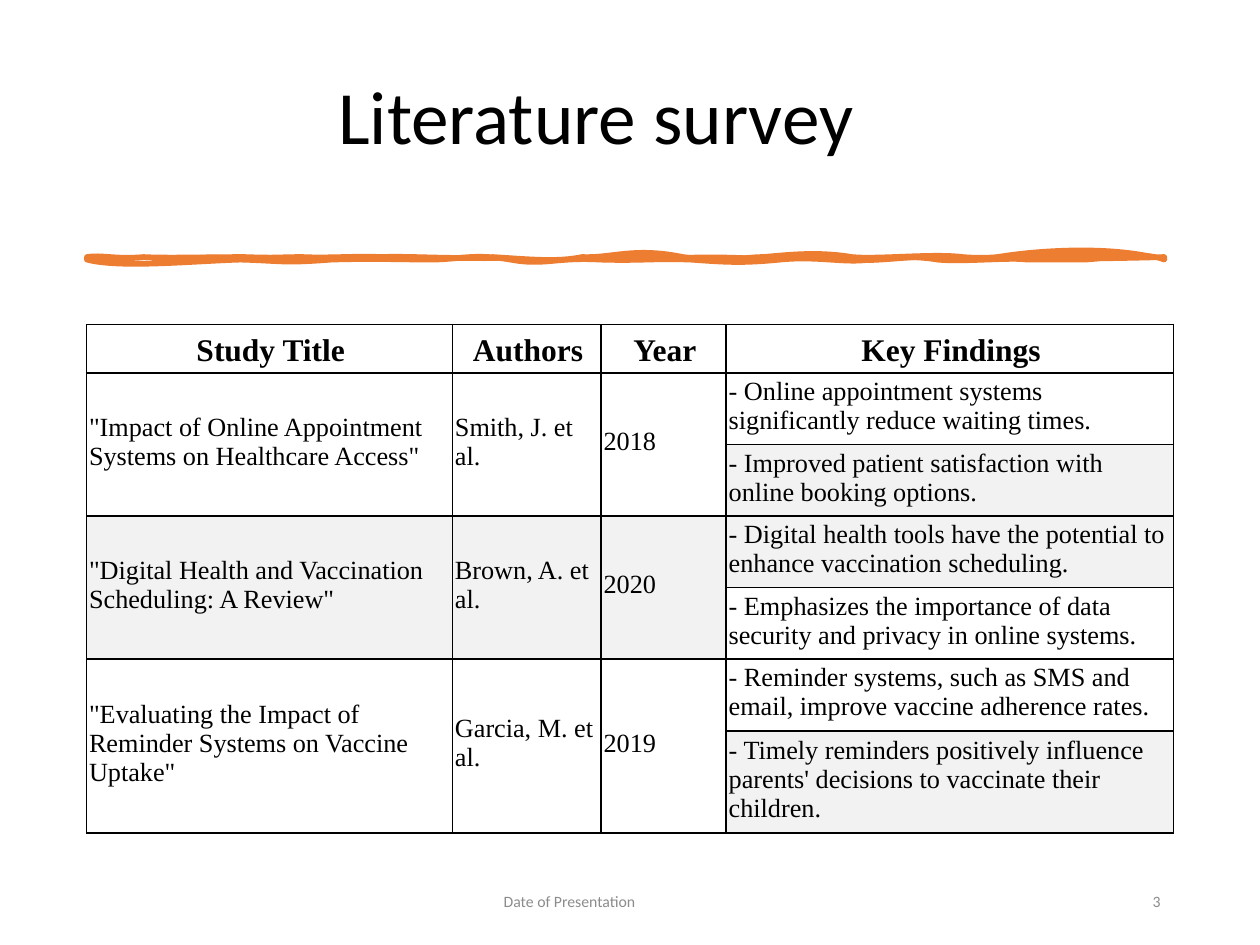
from lxml.etree import SubElement as Sub
from pptx import Presentation
from pptx.dml.color import RGBColor as RGB
from pptx.enum.text import MSO_ANCHOR as Anchor, MSO_AUTO_SIZE as Auto, PP_ALIGN as Align
from pptx.oxml.ns import qn
from pptx.util import Inches, Pt

W, H = 10, 7.5
INK = {"text": "000000", "note": "8C8C8C", "rule": "ED7D31",
       "band": "F2F2F2", "page": "FFFFFF"}
SANS, SERIF = "Calibri", "Times New Roman"

COLS = [29.04, 11.8, 9.93, 35.5]                 # percent of slide width
ROWS = [5.1] + [7.58] * 5 + [10.8]               # percent of slide height
HEADS = ["Study Title", "Authors", "Year", "Key Findings"]
STUDIES = [
    (['"Impact of Online Appointment Systems on Healthcare Access"',
      "Smith, J. et al.", "2018"],
     ["- Online appointment systems significantly reduce waiting times.",
      "- Improved patient satisfaction with online booking options."]),
    (['"Digital Health and Vaccination Scheduling: A Review"',
      "Brown, A. et al.", "2020"],
     ["- Digital health tools have the potential to enhance vaccination scheduling.",
      "- Emphasizes the importance of data security and privacy in online systems."]),
    (['"Evaluating the Impact of Reminder Systems on Vaccine Uptake"',
      "Garcia, M. et al.", "2019"],
     ["- Reminder systems, such as SMS and email, improve vaccine adherence rates.",
      "- Timely reminders positively influence parents' decisions to vaccinate "
      "their children."]),
]

# Brush stroke edges: two control points and the end x of each curve, in inches
TOP, LOW, START, END = 2.04, 2.06, 0.69, 9.24
UNIT = 1000                                      # path units per inch
EDGE = (
    [(.8, 2.02, .92, 2.06, 1.14), (1.31, 2.05, 1.67, 2.04, 1.94),
     (2.23, 2.05, 2.19, 2.04, 2.4), (2.61, 2.05, 2.84, 2.03, 3.02),
     (3.26, 2.03, 3.63, 2.06, 3.91), (4.23, 2.06, 4.42, 2.08, 4.62),
     (4.86, 2.05, 5.03, 1.96, 5.42), (5.76, 2.08, 5.93, 2.04, 6.05),
     (6.2, 2.03, 6.47, 1.99, 6.76), (6.96, 2.06, 7.41, 2.01, 7.64),
     (7.86, 2.06, 8.06, 2.02, 8.18), (8.34, 2.06, 8.84, 2.05, END)],
    [(9.11, 2, 8.78, 2.05, 8.61), (8.44, 2.06, 8.3, 2.06, 8.15),
     (8.03, 2.04, 7.64, 2.08, 7.44), (7.27, 2.03, 7.09, 2.04, 6.9),
     (6.71, 2.09, 6.49, 2.03, 6.19), (5.89, 2.09, 5.76, 2.08, 5.48),
     (5.17, 2.05, 5.1, 2.07, 4.76), (4.41, 2.04, 4.32, 2.11, 4.05),
     (3.76, 2.01, 3.64, 2.06, 3.42), (3.21, 2.06, 2.96, 2.05, 2.63),
     (2.24, 2.09, 2.25, 2.07, 1.91), (1.55, 2.07, .95, 2.13, START)])
BODY = (
    [(.86, 2.03, 1, 2.03, 1.31), (1.63, 2.03, 1.59, 2.04, 1.77),
     (1.94, 2.02, 2.1, 2.05, 2.21), (2.33, 2.03, 2.52, 2.05, 2.65),
     (2.9, 2.05, 2.97, 2.02, 3.28), (3.58, 2.04, 3.65, 2.02, 3.91),
     (4.17, 2.08, 4.58, 2.05, 4.79), (5.07, 1.98, 5.18, 2.05, 5.33),
     (5.51, 2, 5.98, 2.03, 6.22), (6.5, 2.05, 6.66, 2.06, 7.1),
     (7.53, 2.06, 7.66, 2.02, 7.81), (7.99, 1.99, 8.75, 1.9, END)],
    [(9.02, 2.04, 8.92, 2.03, 8.78), (8.7, 2.09, 8.3, 2.01, 7.9),
     (7.53, 2.08, 7.56, 2.04, 7.36), (7.14, 2.06, 6.82, 2.12, 6.64),
     (6.42, 2.01, 6.06, 2, 5.76), (5.45, 2.05, 5.39, 2.06, 5.05),
     (4.72, 2.09, 4.82, 2.07, 4.59), (4.4, 2.05, 4.28, 2.09, 4.05),
     (3.83, 2.09, 3.61, 2.05, 3.17), (2.73, 2.07, 2.75, 2.07, 2.45),
     (2.16, 2.05, 2.13, 2.05, 1.91), (1.72, 1.97, 1.31, 2.07, START)])


def wide(share):
    return Inches(W * share / 100)


def high(share):
    return Inches(H * share / 100)


def area(left, top, width, height):
    return wide(left), high(top), wide(width), high(height)


def write(frame, text, size, font=SANS, ink="text", bold=False,
          align=Align.LEFT, lead=None, after=None):
    frame.word_wrap = True
    para = frame.paragraphs[0]
    para.text = text
    para.alignment = align
    para.line_spacing = lead
    para.space_after = after
    for run in para.runs:
        run.font.name, run.font.size, run.font.bold = font, Pt(size), bold
        run.font.color.rgb = RGB.from_string(INK[ink])


def add_title(slide, text):
    title = slide.shapes.title
    title.left, title.top, title.width, title.height = area(25.85, 7.93, 86.2, 19.33)
    frame = title.text_frame
    frame.auto_size, frame.vertical_anchor = Auto.NONE, Anchor.MIDDLE
    write(frame, text, 43, lead=0.9)


def add_note(slide, text, left, width, align, inset=0.1):
    box = slide.shapes.add_textbox(*area(left, 92.67, width, 5.33))
    frame = box.text_frame
    frame.vertical_anchor, frame.margin_right = Anchor.MIDDLE, Inches(inset)
    write(frame, text, 9, ink="note", align=align, after=Pt(6))


def draw(path, tag, *spots):
    step = Sub(path, qn("a:" + tag))
    for x, y in spots:
        Sub(step, qn("a:pt"), x=str(round((x - START) * UNIT)),
            y=str(round((y - TOP) * UNIT)))


def add_curves(paths, edges, **look):
    """One closed outline of cubic curves: the upper edge, then the lower."""
    path = Sub(paths, qn("a:path"), w=str(round((END - START) * UNIT)),
               h=str(round((LOW - TOP) * UNIT)), **look)
    draw(path, "moveTo", (START, TOP))
    for edge, y, turn in zip(edges, (TOP, LOW), ((END, LOW), (START, TOP))):
        for ax, ay, bx, by, x in edge:
            draw(path, "cubicBezTo", (ax, ay), (bx, by), (x, y))
        draw(path, "lnTo", turn)
    Sub(path, qn("a:close"))


def add_brush(slide):
    left, right, top, low = (n * UNIT for n in (START, END, TOP, LOW))
    pen = slide.shapes.build_freeform(left, top, scale=Inches(1) / UNIT)
    pen.add_line_segments([(right, top), (right, low), (left, low)])
    shape = pen.convert_to_shape()
    shape.shadow.inherit = False
    for paint in (shape.fill, shape.line.fill):
        paint.solid()
        paint.fore_color.rgb = RGB.from_string(INK["rule"])
    shape.line.width = Pt(3.25)
    # Curves in place of the straight outline: a stroked edge, a filled body
    paths = shape._element.spPr.find(".//" + qn("a:pathLst"))
    paths.remove(paths[0])
    add_curves(paths, EDGE, fill="none")
    add_curves(paths, BODY, stroke="0")


def frame_cell(cell, shade):
    props = cell._tc.get_or_add_tcPr()
    for side in "LRTB":
        line = Sub(props, qn("a:ln" + side), w=str(Pt(1)))
        Sub(Sub(line, qn("a:solidFill")), qn("a:srgbClr"), val=INK["text"])
    cell.fill.solid()
    cell.fill.fore_color.rgb = RGB.from_string(INK["band" if shade else "page"])
    cell.margin_left, cell.margin_bottom = Inches(0.02), Inches(0.04)
    cell.margin_right = cell.margin_top = 0


def fill_cell(cell, text, head=False):
    cell.vertical_anchor = Anchor.BOTTOM if head else Anchor.MIDDLE
    write(cell.text_frame, text, 18 if head else 15, SERIF, bold=head,
          align=Align.CENTER if head else Align.LEFT)


def add_survey(slide):
    spot = area(6.87, 34.36, sum(COLS), sum(ROWS))
    table = slide.shapes.add_table(len(ROWS), len(COLS), *spot).table
    table.first_row = table.horz_banding = False
    for col, share in zip(table.columns, COLS):
        col.width = wide(share)
    for row, share in zip(table.rows, ROWS):
        row.height = high(share)
    for c, text in enumerate(HEADS):
        frame_cell(table.cell(0, c), False)
        fill_cell(table.cell(0, c), text, head=True)
    # Each study spans two rows, one for each finding
    for i, (facts, finds) in enumerate(STUDIES):
        top = 1 + 2 * i
        for c, text in enumerate(facts):
            for r in (top, top + 1):
                frame_cell(table.cell(r, c), i % 2)
            table.cell(top, c).merge(table.cell(top + 1, c))
            fill_cell(table.cell(top, c), text)
        for j, text in enumerate(finds):
            cell = table.cell(top + j, len(facts))
            frame_cell(cell, (i + j) % 2)
            fill_cell(cell, text)


def main():
    deck = Presentation()
    deck.slide_width, deck.slide_height = Inches(W), Inches(H)
    slide = deck.slides.add_slide(deck.slide_layouts[5])
    add_title(slide, "Literature survey\v")
    add_brush(slide)
    # Footer
    add_note(slide, "Date of Presentation", 33.1, 33.8, Align.CENTER, inset=1.06)
    add_note(slide, "3", 70.6, 22.5, Align.RIGHT)
    add_survey(slide)
    deck.save("out.pptx")


if __name__ == "__main__":
    main()
